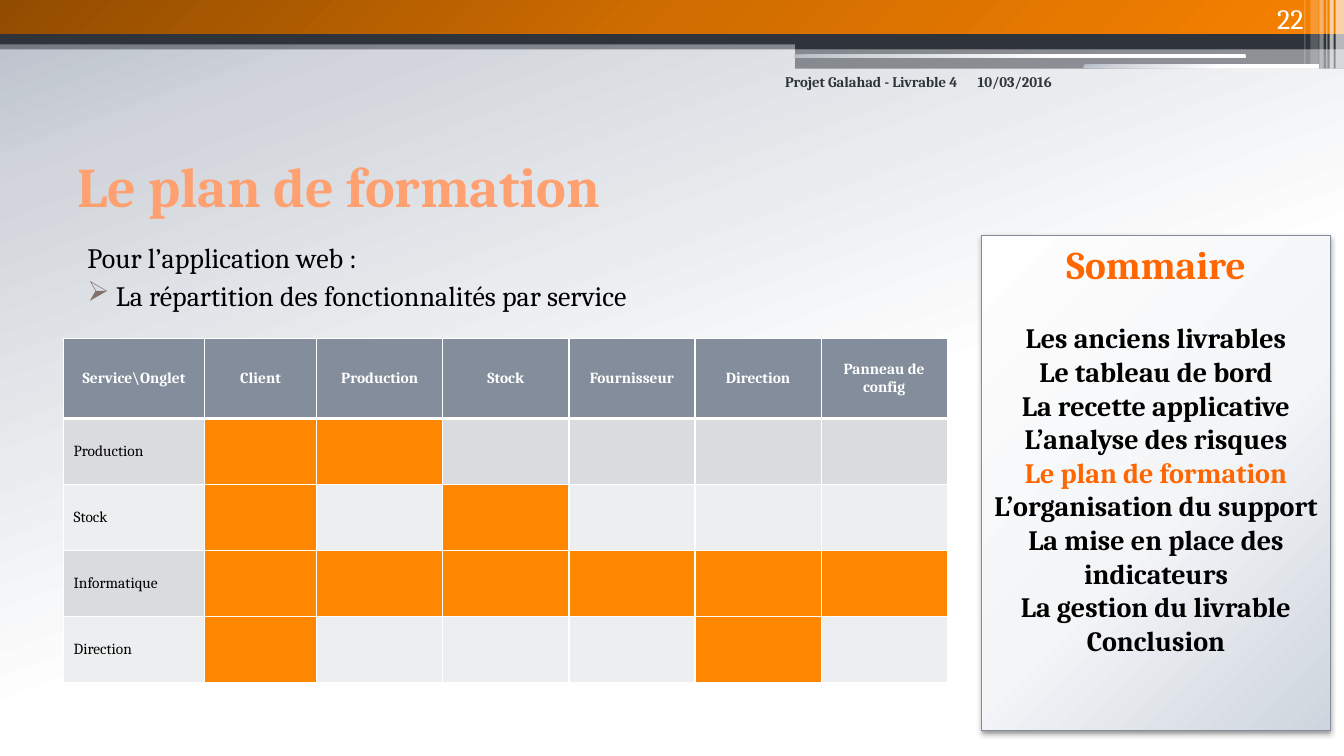
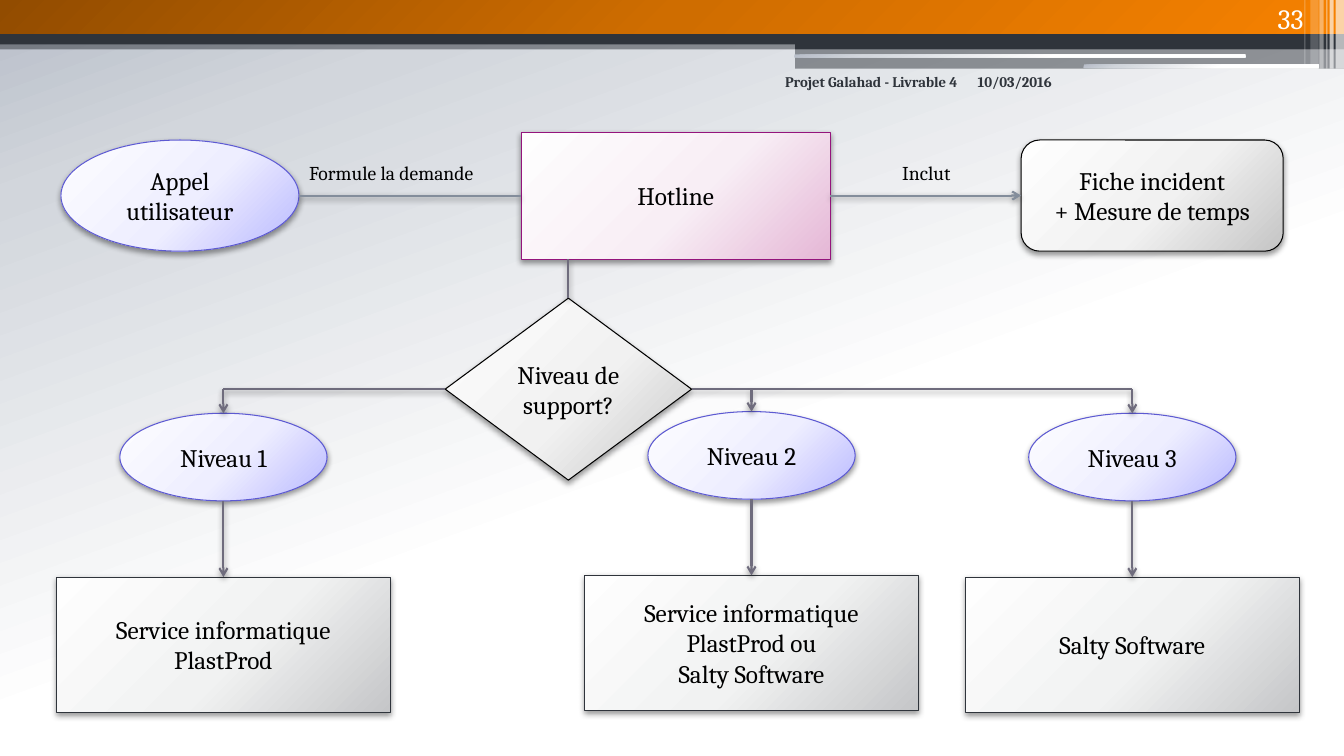
from lxml.etree import SubElement
from pptx import Presentation
from pptx.dml.color import RGBColor
from pptx.enum.shapes import MSO_CONNECTOR, MSO_SHAPE
from pptx.enum.text import MSO_ANCHOR, PP_ALIGN
from pptx.oxml.ns import qn
from pptx.util import Pt

FONT = "Cambria"
WIDE, HIGH = 960, 540
HUES = {
    "dark": "2F343B", "white": "FFFFFF", "black": "000000", "title": "FFA070",
    "accent": "FF6600", "bullet": "80716A", "steel": "838D9B", "wire": "6F6C7D",
    "mark": "FF8600", "odd": "D9DBDE", "even": "EDEEEF",
    "blue": "5D5AD2", "plum": "94147C",
}
PAGE = [(0, "B7BDC8"), (16, "D2D6DC"), (58, "FFFFFF")]
BAND = [(0, "924C00"), (50, "CF6D00"), (100, "F68100")]
# Each look: gradient stops and outline colour
LOOKS = {
    "panel": ([(0, "FEFEFE"), (55, "F3F5F7"), (100, "CED5DE")], "steel"),
    "call": ([(0, "FEFEFF"), (55, "EEEEFF"), (100, "B9B8FF")], "blue"),
    "note": ([(0, "FEFEFE"), (55, "F1F1F1"), (100, "C5C5C5")], "black"),
    "team": ([(0, "FEFEFE"), (55, "F1F2F2"), (100, "C5C6C8")], "dark"),
    "desk": ([(0, "FEFEFE"), (55, "F8EEF5"), (100, "E5B7D6")], "plum"),
}


def rgb(name):
    return RGBColor.from_string(HUES[name])


def add_hue(parent, value):
    return SubElement(parent, qn("a:srgbClr"), val=value)


def blend(fill, owner, stops, angle=None):
    """Gradient fill: linear at an angle, or spreading from the upper left."""
    fill.gradient()
    grad = next(owner.iter(qn("a:gradFill")))
    for child in list(grad):
        grad.remove(child)
    rows = SubElement(grad, qn("a:gsLst"))
    for place, value in stops:
        add_hue(SubElement(rows, qn("a:gs"), pos=str(place * 1000)), value)
    if angle is None:
        way = SubElement(grad, qn("a:path"))
        way.set("path", "circle")
        SubElement(way, qn("a:fillToRect"), l="-40000", t="-90000",
                   r="140000", b="190000")
    else:
        SubElement(grad, qn("a:lin"), ang=str(angle * 60000), scaled="0")


def cast(effects):
    """Soft shadow straight below."""
    shade = SubElement(effects, qn("a:outerShdw"), blurRad=str(Pt(4.1)),
                       dist=str(Pt(2)), dir="5400000", rotWithShape="0")
    hue = add_hue(shade, HUES["black"])
    SubElement(hue, qn("a:alpha"), val="40000")


def style(para, size, hue="black", bold=False, align=PP_ALIGN.LEFT):
    para.alignment = align
    font = para.font
    font.name, font.size, font.bold = FONT, Pt(size), bold
    font.color.rgb = rgb(hue)


def write(frame, lines, size, **looks):
    frame.word_wrap = True
    for i, line in enumerate(lines):
        para = frame.add_paragraph() if i else frame.paragraphs[0]
        para.text = line
        style(para, size, **looks)


def label(slide, box, lines, size, anchor=MSO_ANCHOR.TOP, **looks):
    frame = slide.shapes.add_textbox(*map(Pt, box)).text_frame
    write(frame, lines, size, **looks)
    frame.vertical_anchor = anchor
    return frame


def plate(slide, box, hue="dark", alpha=100, stops=None, angle=0,
          kind=MSO_SHAPE.RECTANGLE):
    """Plain piece of the header, without outline."""
    shape = slide.shapes.add_shape(kind, *map(Pt, box))
    shape.shadow.inherit = False
    shape.line.fill.background()
    if stops:
        blend(shape.fill, shape.element.spPr, stops, angle)
        return
    shape.fill.solid()
    shape.fill.fore_color.rgb = rgb(hue)
    if alpha < 100:
        color = next(shape.element.spPr.iter(qn("a:srgbClr")))
        SubElement(color, qn("a:alpha"), val=str(alpha * 1000))


def card(slide, kind, box, look, lines, size=18, **looks):
    """Glossy outlined shape with centred text."""
    shape = slide.shapes.add_shape(kind, *map(Pt, box))
    stops, edge = LOOKS[look]
    blend(shape.fill, shape.element.spPr, stops)
    shape.line.color.rgb = rgb(edge)
    shape.line.width = Pt(0.75)
    shape.shadow.inherit = False
    cast(shape.element.spPr.find(qn("a:effectLst")))
    frame = shape.text_frame
    frame.vertical_anchor = MSO_ANCHOR.MIDDLE
    write(frame, lines, size, align=PP_ALIGN.CENTER, **looks)
    return shape


def link(slide, start, end, hue="wire", arrow=False):
    """Straight line; each end is a point (x, y) or a joint (shape, site)."""
    line = slide.shapes.add_connector(MSO_CONNECTOR.STRAIGHT, 0, 0, 0, 0)
    if isinstance(start[0], (int, float)):
        line.begin_x, line.begin_y = map(Pt, start)
    else:
        line.begin_connect(*start)
    if isinstance(end[0], (int, float)):
        line.end_x, line.end_y = map(Pt, end)
    else:
        line.end_connect(*end)
    line.line.color.rgb = rgb(hue)
    line.line.width = Pt(1.5)
    props = line.element.spPr
    if arrow:
        SubElement(props.find(qn("a:ln")), qn("a:tailEnd"), type="arrow")
    cast(SubElement(props, qn("a:effectLst")))


def header(slide, number):
    half = 568
    plate(slide, (0, 28.8, WIDE, 6.5), alpha=50)
    plate(slide, (0, 0, WIDE, 24.5), stops=BAND, angle=45)
    plate(slide, (0, 24.5, WIDE, 7.2))
    plate(slide, (half, 28, WIDE - half, 7.2))
    plate(slide, (half, 34.8, WIDE - half, 14.2), alpha=50)
    for box in ((567.5, 38.9, 322, 2.2), (774, 46.1, 168, 2.6)):
        plate(slide, box, stops=PAGE, angle=70,
              kind=MSO_SHAPE.ROUNDED_RECTANGLE)
    stripes = [(954, 6, 49, 65), (949.7, 3, 49, 65), (947.5, 0.7, 49, 60),
               (942.5, 3, 49, 40), (936, 6, 46, 20), (931.7, 0.7, 46, 30)]
    for x, width, height, alpha in stripes:
        plate(slide, (x, 0, width, height), "white", alpha)
    label(slide, (691.2, 48.2, 101, 36), ["10/03/2016"], 10.5,
          hue="dark", bold=True)
    label(slide, (552.2, 48.2, 139, 36), ["Projet Galahad - Livrable 4"], 10.5,
          hue="dark", bold=True, align=PP_ALIGN.RIGHT)
    label(slide, (858.2, 0, 80, 28.8), [str(number)], 20, MSO_ANCHOR.BOTTOM,
          hue="white", align=PP_ALIGN.RIGHT)


def heading(slide, box, text):
    title = slide.shapes.title
    title.left, title.top, title.width, title.height = map(Pt, box)
    title.text_frame.vertical_anchor = MSO_ANCHOR.MIDDLE
    write(title.text_frame, [text], 40, hue="title", bold=True)


def intro(slide, box):
    lines = ["Pour l’application web :",
             "La répartition des fonctionnalités par service"]
    first, second = label(slide, box, lines, 20).paragraphs
    for para, margin, indent in ((first, 8.6, 0), (second, 28.8, -20.2)):
        para.space_before = Pt(3)
        props = para._p.get_or_add_pPr()
        props.set("marL", str(Pt(margin)))
        props.set("indent", str(Pt(indent)))
    add_hue(SubElement(props, qn("a:buClr")), HUES["bullet"])
    SubElement(props, qn("a:buChar"), char="➢")


def edge(cell, row):
    """White borders, thick between the heading row and the rest."""
    props = cell._tc.get_or_add_tcPr()
    for side in "LRTB":
        thick = (row, side) in ((0, "B"), (1, "T"))
        line = SubElement(props, qn("a:ln" + side), w=str(Pt(3 if thick else 1)))
        add_hue(SubElement(line, qn("a:solidFill")), HUES["white"])


def matrix(slide, x, y):
    """Services against tabs; marked cells show access."""
    heads = ["Service\\Onglet", "Client", "Production", "Stock", "Fournisseur",
             "Direction", "Panneau de config"]
    access = {"Production": {1, 2}, "Stock": {1, 3},
              "Informatique": set(range(1, 7)), "Direction": {1, 5}}
    widths = [100.8, 80] + [90.1] * 5
    heights = [57] + [47.2] * len(access)
    table = slide.shapes.add_table(
        len(heights), len(widths), Pt(x), Pt(y),
        Pt(sum(widths)), Pt(sum(heights))).table
    for column, width in zip(table.columns, widths):
        column.width = Pt(width)
    for row, height in zip(table.rows, heights):
        row.height = Pt(height)
    names = list(access)
    for r in range(len(heights)):
        for c, head in enumerate(heads):
            cell = table.cell(r, c)
            edge(cell, r)
            cell.vertical_anchor = MSO_ANCHOR.MIDDLE
            if r == 0:
                hue = "steel"
                write(cell.text_frame, [head], 11, hue="white", bold=True,
                      align=PP_ALIGN.CENTER)
            else:
                name = names[r - 1]
                hue = "mark" if c in access[name] else ("even", "odd")[r % 2]
                if c == 0:
                    write(cell.text_frame, [name], 11)
            cell.fill.solid()
            cell.fill.fore_color.rgb = rgb(hue)


def summary(slide, box, current):
    lines = ["Sommaire", "Les anciens livrables", "Le tableau de bord",
             "La recette applicative", "L’analyse des risques",
             "Le plan de formation", "L’organisation du support",
             "La mise en place des indicateurs", "La gestion du livrable",
             "Conclusion"]
    frame = card(slide, MSO_SHAPE.RECTANGLE, box, "panel", lines, 20,
                 bold=True).text_frame
    frame.vertical_anchor = MSO_ANCHOR.TOP
    top = frame.paragraphs[0]
    top.font.size = Pt(28)
    top.space_after = Pt(24)
    for para in (top, frame.paragraphs[lines.index(current)]):
        para.font.color.rgb = rgb("accent")


def level(slide, mid, y, bus, name, team):
    """One support level, fed from the bus line above."""
    oval = card(slide, MSO_SHAPE.OVAL, (mid - 74, y, 148, 62.6), "call", [name])
    box = card(slide, MSO_SHAPE.RECTANGLE, (mid - 119.2, y + 117, 238.4, 96.5),
               "team", team)
    link(slide, (mid, bus), (oval, 0), arrow=True)
    link(slide, (mid, y + 62.6), (box, 0), arrow=True)


def training(deck):
    slide = deck.slides.add_slide(deck.slide_layouts[5])
    header(slide, 22)
    topic = "Le plan de formation"
    heading(slide, (48, 90, 641.5, 84), topic)
    intro(slide, (46.8, 168, 891.4, 350))
    matrix(slide, 45.4, 242)
    summary(slide, (701.3, 168, 249, 353.5), topic)


def support(deck):
    slide = deck.slides.add_slide(deck.slide_layouts[6])
    header(slide, 33)
    axis, bus = 139.7, 278
    card(slide, MSO_SHAPE.OVAL, (43.5, axis - 39.7, 170, 79.4), "call",
         ["Appel utilisateur"])
    desk = card(slide, MSO_SHAPE.RECTANGLE, (372.2, axis - 45.4, 221, 90.8),
                "desk", ["Hotline"])
    form = card(slide, MSO_SHAPE.ROUNDED_RECTANGLE,
                (729.4, axis - 39.7, 187.2, 79.4), "note",
                ["Fiche incident", "+ Mesure de temps"])
    choice = card(slide, MSO_SHAPE.FLOWCHART_DECISION,
                  (318, bus - 65, 176, 130), "note", ["Niveau de support?"])
    link(slide, (213.5, axis), (desk, 1), "steel")
    link(slide, (desk, 3), (form, 1), "steel", arrow=True)
    link(slide, (406, axis + 45.4), (choice, 0))
    label(slide, (213.8, 111.6, 153.4, 24.5), ["Formule la demande"], 14)
    label(slide, (616.3, 111.6, 90.7, 24.5), ["Inclut"], 14,
          align=PP_ALIGN.CENTER)
    levels = [(159.6, 295.2, ["Service informatique PlastProd"]),
              (536.8, 294, ["Service informatique PlastProd ou",
                            "Salty Software"]),
              (808.8, 295.2, ["Salty Software"])]
    link(slide, (choice, 1), (levels[0][0], bus))
    link(slide, (choice, 3), (levels[-1][0], bus))
    for i, (mid, y, team) in enumerate(levels, 1):
        level(slide, mid, y, bus, f"Niveau {i}", team)


def main():
    deck = Presentation()
    deck.slide_width, deck.slide_height = Pt(WIDE), Pt(HIGH)
    master = deck.slide_master
    blend(master.background.fill, master.element.cSld, PAGE, 70)
    training(deck)
    support(deck)
    deck.save("out.pptx")


if __name__ == "__main__":
    main()
